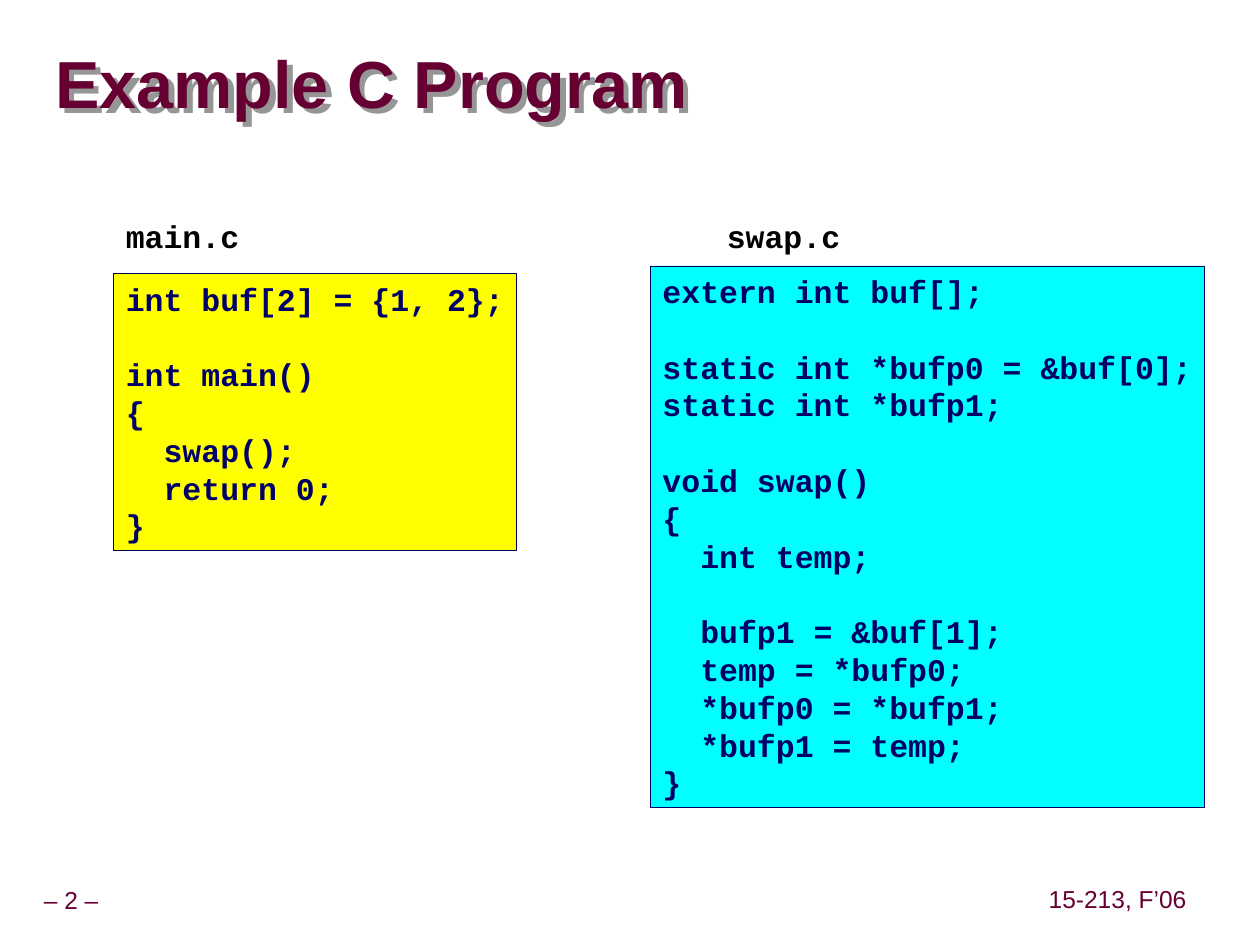
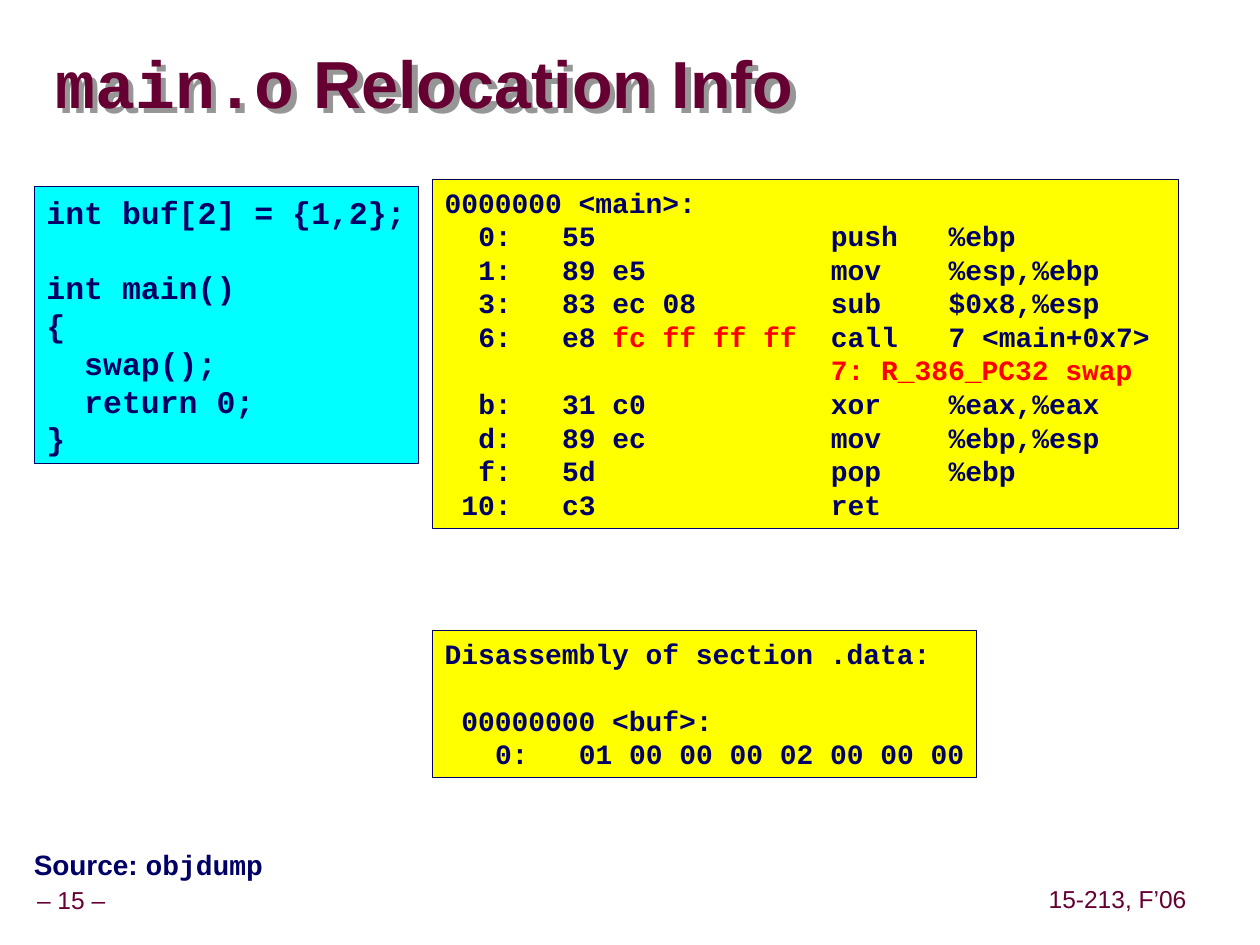
from dataclasses import dataclass
from typing import Optional

from lxml import etree
from pptx import Presentation
from pptx import util as u
from pptx.dml import color
from pptx.enum import shapes, text
from pptx.oxml import ns


@dataclass(frozen=True)
class Theme:
    sans: str = "Arial"
    mono: str = "Courier New"
    maroon: str = "660033"
    navy: str = "000066"
    black: str = "000000"
    white: str = "FFFFFF"
    red: str = "FF0000"
    yellow: str = "FFFF00"
    cyan: str = "00FFFF"
    shadow: str = "969696"
    title: int = 38
    code: int = 18
    listing: int = 16
    footer: int = 14
    char_width: float = 0.6
    line_height: float = 1.2


T = Theme()


@dataclass(frozen=True)
class Span:
    text: str
    color: str = T.navy
    font: str = T.mono
    bold: bool = True


@dataclass(frozen=True)
class Line:
    spans: tuple[Span, ...]
    indent: int = 0
    gap: int = 0
    tabs: tuple[tuple[int, str], ...] = ()


@dataclass(frozen=True)
class Box:
    left: float
    top: float
    width: float
    height: float


@dataclass(frozen=True)
class CodePanel:
    box: Box
    fill: Optional[str]
    size: int
    lines: tuple[Line, ...]
    outline: str = T.navy


def code(content: str, indent: int = 0, gap: int = 0) -> Line:
    return Line((Span(content),), indent, gap)


ASM_TABS = ((4, "r"), (7, "l"), (23, "l"), (30, "l"))
DATA_TABS = ((5, "r"), (8, "l"))


def asm(offset: str, code_bytes: str, op: str, operand: str = "") -> Line:
    cells = ["", offset + ":", code_bytes, op] + ([operand] if operand else [])
    return Line((Span("\t".join(cells)),), tabs=ASM_TABS)


def main_source(declaration: str) -> tuple[Line, ...]:
    return (
        code(declaration),
        code("int main()", gap=1),
        code("{"),
        code("swap();", 2),
        code("return 0;", 2),
        code("}"),
    )


SWAP_SOURCE = (
    code("extern int buf[];"),
    code("static int *bufp0 = &buf[0];", gap=1),
    code("static int *bufp1;"),
    code("void swap()", gap=1),
    code("{"),
    code("int temp;", 2),
    code("bufp1 = &buf[1];", 2, 1),
    code("temp = *bufp0;", 2),
    code("*bufp0 = *bufp1;", 2),
    code("*bufp1 = temp;", 2),
    code("}"),
)

MAIN_LISTING = (
    code("0000000 <main>:"),
    asm("0", "55", "push", "%ebp"),
    asm("1", "89 e5", "mov", "%esp,%ebp"),
    asm("3", "83 ec 08", "sub", "$0x8,%esp"),
    Line(
        (Span("\t6:\te8 "), Span("fc ff ff ff", T.red), Span("\tcall\t7 <main+0x7>")),
        tabs=ASM_TABS,
    ),
    Line((Span("7: R_386_PC32 swap", T.red),), indent=23),
    asm("b", "31 c0", "xor", "%eax,%eax"),
    asm("d", "89 ec", "mov", "%ebp,%esp"),
    asm("f", "5d", "pop", "%ebp"),
    asm("10", "c3", "ret"),
)

DATA_LISTING = (
    code("Disassembly of section .data:"),
    code("00000000 <buf>:", 1, 1),
    Line((Span("\t0:\t01 00 00 00 02 00 00 00"),), tabs=DATA_TABS),
)


def set_attrs(obj, values: dict) -> None:
    for name, value in values.items():
        setattr(obj, name, value)


def rgb(value: str) -> color.RGBColor:
    return color.RGBColor.from_string(value)


def place(box: Box) -> tuple:
    return tuple(u.Inches(v) for v in (box.left, box.top, box.width, box.height))


def set_frame(sp, inset_x: float, inset_y: float, anchor, right: Optional[float] = None):
    tf = sp.text_frame
    set_attrs(tf, {
        "word_wrap": True,
        "vertical_anchor": anchor,
        "margin_left": u.Inches(inset_x),
        "margin_right": u.Inches(inset_x if right is None else right),
        "margin_top": u.Inches(inset_y),
        "margin_bottom": u.Inches(inset_y),
    })
    return tf


def add_runs(p, spans: tuple[Span, ...], size: int) -> None:
    for span in spans:
        r = p.add_run()
        r.text = span.text
        set_attrs(r.font, {"name": span.font, "size": u.Pt(size), "bold": span.bold})
        r.font.color.rgb = rgb(span.color)


def add_lines(tf, lines: tuple[Line, ...], size: int) -> None:
    char = size * T.char_width / 72
    pitch = size * T.line_height
    for i, line in enumerate(lines):
        p = tf.add_paragraph() if i else tf.paragraphs[0]
        set_attrs(p, {
            "alignment": text.PP_ALIGN.LEFT,
            "line_spacing": u.Pt(pitch),
            "space_before": u.Pt(pitch * line.gap),
        })
        ppr = p._p.get_or_add_pPr()
        if line.indent:
            ppr.set("marL", str(u.Inches(char * line.indent)))
        if line.tabs:
            tabs = etree.SubElement(ppr, ns.qn("a:tabLst"))
            for column, align in line.tabs:
                etree.SubElement(tabs, ns.qn("a:tab"),
                                 pos=str(u.Inches(char * column)), algn=align)
        add_runs(p, line.spans, size)


def add_text(s, box: Box, spans: tuple[Span, ...], size: int, inset: float,
             align=text.PP_ALIGN.LEFT, spacing: float = 1.0):
    sp = s.shapes.add_textbox(*place(box))
    p = set_frame(sp, inset, inset, text.MSO_ANCHOR.MIDDLE).paragraphs[0]
    set_attrs(p, {"alignment": align, "line_spacing": spacing})
    add_runs(p, spans, size)
    return sp


def add_panel(s, panel: CodePanel) -> None:
    sp = s.shapes.add_shape(shapes.MSO_SHAPE.RECTANGLE, *place(panel.box))
    sp.shadow.inherit = False
    if panel.fill:
        sp.fill.solid()
        sp.fill.fore_color.rgb = rgb(panel.fill)
    else:
        sp.fill.background()
    sp.line.color.rgb = rgb(panel.outline)
    sp.line.width = u.Pt(0.25)
    tf = set_frame(sp, 0.1, 0.05, text.MSO_ANCHOR.TOP, 0)
    add_lines(tf, panel.lines, panel.size)


def add_title(s, spans: tuple[Span, ...]) -> None:
    sp = add_text(s, Box(0.44, 0.27, 9.53, 0.85), spans, T.title, 0, spacing=0.87)
    effects = etree.SubElement(sp._element.spPr, ns.qn("a:effectLst"))
    shadow = etree.SubElement(effects, ns.qn("a:outerShdw"),
                              dist=str(u.Pt(4.5)), dir="2700000", algn="tl")
    etree.SubElement(shadow, ns.qn("a:srgbClr"), val=T.shadow)


def add_slide(prs, number: int, title: tuple[Span, ...], panels: tuple[CodePanel, ...]):
    s = prs.slides.add_slide(prs.slide_layouts[6])
    footers = (
        (Box(-0.09, 7, 1.31, 0.31), f"– {number} –"),
        (Box(8.27, 6.99, 1.2, 0.31), "15-213, F’06"),
    )
    for box, content in footers:
        add_text(s, box, (Span(content, T.maroon, T.sans, False),), T.footer, 0.05,
                 align=text.PP_ALIGN.CENTER, spacing=0.9)
    add_title(s, title)
    for panel in panels:
        add_panel(s, panel)
    return s


def file_label(left: float, name: str) -> CodePanel:
    return CodePanel(Box(left, 1.67, 1.1, 0.4), None, T.code,
                     (Line((Span(name, T.black),)),), T.white)


def main() -> None:
    prs = Presentation()
    set_attrs(prs, {"slide_width": u.Inches(10), "slide_height": u.Inches(7.5)})

    add_slide(prs, 2, (Span("Example C Program", T.maroon, T.sans),), (
        CodePanel(Box(0.9, 2.17, 3.2, 2.2), T.yellow, T.code,
                  main_source("int buf[2] = {1, 2};")),
        file_label(0.9, "main.c"),
        file_label(5.67, "swap.c"),
        CodePanel(Box(5.16, 2.11, 4.4, 4.3), T.cyan, T.code, SWAP_SOURCE),
    ))

    title = (Span("main.o", T.maroon), Span(" Relocation Info", T.maroon, T.sans))
    s = add_slide(prs, 15, title, (
        CodePanel(Box(3.43, 1.42, 5.92, 2.77), T.yellow, T.listing, MAIN_LISTING),
        CodePanel(Box(3.43, 5, 4.32, 1.17), T.yellow, T.listing, DATA_LISTING),
        CodePanel(Box(0.27, 1.48, 3.05, 2.2), T.cyan, T.code,
                  main_source("int buf[2] = {1,2};")),
    ))
    sp = s.shapes.add_textbox(*place(Box(0.17, 6.68, 2.02, 0.37)))
    source = Line((Span("Source: ", font=T.sans), Span("objdump")))
    add_lines(set_frame(sp, 0.1, 0.05, text.MSO_ANCHOR.TOP, 0), (source,), T.listing)

    prs.save("out.pptx")


if __name__ == "__main__":
    main()
